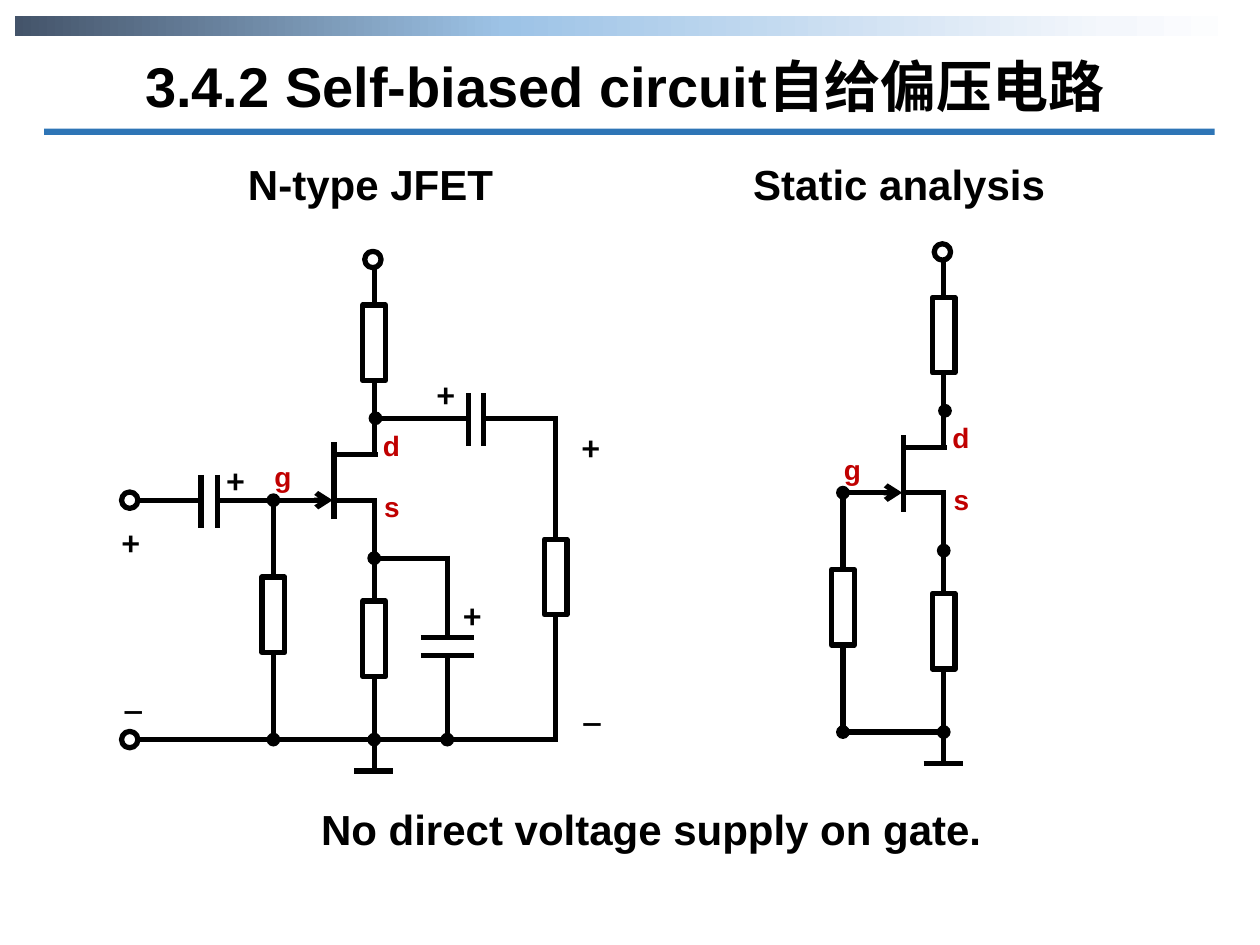
from lxml.etree import SubElement
from pptx import Presentation
from pptx.dml.color import RGBColor
from pptx.enum.shapes import MSO_CONNECTOR, MSO_SHAPE
from pptx.enum.text import MSO_AUTO_SIZE, PP_ALIGN
from pptx.oxml.ns import qn
from pptx.util import Inches, Pt

COLORS = {"ink": "000000", "pin": "C00000", "rule": "2E75B6"}
BANNER_STOPS = [(0, "44546A"), (40, "9DC3E6"), (89, "F4F7FC"), (100, "FFFFFF")]
TOP, BOTTOM = 0, 2
RESISTOR_WIDTH, RESISTOR_HEIGHT = 0.18, 0.6
GROUND_Y = 5.87


class CircuitSlide:
    """Holds the line style, the slide, and the origin of the circuit being drawn."""

    line_width = Pt(3)

    def __init__(self, slide):
        self.slide = slide
        self.shapes = slide.shapes
        self.origin = (0, 0)

    def start_circuit(self, dx=0, dy=0):
        """Send what follows to a new group, shifted by dx and dy."""
        self.shapes = self.slide.shapes.add_group_shape().shapes
        self.origin = (dx, dy)

    def end_circuit(self):
        self.shapes = self.slide.shapes
        self.origin = (0, 0)

    def place(self, x, y):
        return Inches(x + self.origin[0]), Inches(y + self.origin[1])

    def shape(self, kind, left, top, width, height, fill=None, outlined=False):
        shape = self.shapes.add_shape(
            kind, *self.place(left, top), Inches(width), Inches(height))
        shape.shadow.inherit = False
        if fill:
            shape.fill.solid()
            shape.fill.fore_color.rgb = RGBColor.from_string(COLORS[fill])
        else:
            shape.fill.background()
        if outlined:
            shape.line.color.rgb = RGBColor.from_string(COLORS["ink"])
            shape.line.width = self.line_width
        else:
            shape.line.fill.background()
        return shape

    def banner(self, left, top, width, height):
        shape = self.shape(MSO_SHAPE.RECTANGLE, left, top, width, height)
        shape.fill.gradient()
        shape.fill.gradient_angle = 0
        stops = shape._element.spPr.find(qn("a:gradFill")).find(qn("a:gsLst"))
        stops.clear()
        for percent, color in BANNER_STOPS:
            stop = SubElement(stops, qn("a:gs"), pos=str(percent * 1000))
            SubElement(stop, qn("a:srgbClr"), val=color)

    def text(self, left, top, width, height, runs, size, color="ink",
             align=PP_ALIGN.JUSTIFY, font="Arial", tight=False):
        """Write (wording, East Asian font or None) runs; tight drops insets and wrapping."""
        box = self.shapes.add_textbox(
            *self.place(left, top), Inches(width), Inches(height))
        frame = box.text_frame
        frame.word_wrap = not tight
        frame.auto_size = MSO_AUTO_SIZE.SHAPE_TO_FIT_TEXT
        if tight:
            frame.margin_left = frame.margin_right = 0
            frame.margin_top = frame.margin_bottom = 0
        paragraph = frame.paragraphs[0]
        paragraph.alignment = align
        for wording, asian_font in runs:
            run = paragraph.add_run()
            run.text = wording
            run.font.name = font
            run.font.size = Pt(size)
            run.font.bold = True
            run.font.color.rgb = RGBColor.from_string(COLORS[color])
            if asian_font:
                SubElement(run._r.get_or_add_rPr(), qn("a:ea"), typeface=asian_font)

    def heading(self, left, top, width, wording):
        self.text(left, top, width, 0.5, [(wording, None)], 24)

    def sign(self, left, top, symbol):
        self.text(left, top, 0.14, 0.34, [(symbol, None)], 20, font="Calibri", tight=True)

    def pin(self, left, top, name):
        self.text(left, top, 0.36, 0.37, [(name, None)], 16, color="pin")

    def wire(self, start, end, arrow=False):
        connector = self.shapes.add_connector(
            MSO_CONNECTOR.STRAIGHT, *self.place(*start), *self.place(*end))
        connector.line.color.rgb = RGBColor.from_string(COLORS["ink"])
        connector.line.width = self.line_width
        if arrow:
            SubElement(connector.line._get_or_add_ln(), qn("a:tailEnd"), type="arrow")
        SubElement(connector._element.spPr, qn("a:effectLst"))
        return connector

    def resistor(self, x, top, wire_start, wire_end):
        """Draw an upright resistor centred on x, with leads from wire_start to wire_end."""
        body = self.shape(MSO_SHAPE.RECTANGLE, x - RESISTOR_WIDTH / 2, top,
                          RESISTOR_WIDTH, RESISTOR_HEIGHT, outlined=True)
        self.wire((x, wire_start), (x, top)).end_connect(body, TOP)
        self.wire((x, top + RESISTOR_HEIGHT), (x, wire_end)).begin_connect(body, BOTTOM)

    def capacitor(self, x, y, gap, upright=True):
        """Draw two plates around a centre; upright plates stand side by side."""
        half = 0.21
        for shift in (-gap / 2, gap / 2):
            if upright:
                self.wire((x + shift, y - half), (x + shift, y + half))
            else:
                self.wire((x - half, y + shift), (x + half, y + shift))

    def circle(self, x, y, diameter, **style):
        self.shape(MSO_SHAPE.OVAL, x - diameter / 2, y - diameter / 2,
                   diameter, diameter, **style)

    def terminal(self, x, y):
        self.circle(x, y, 0.13, outlined=True)

    def node(self, x, y):
        self.circle(x, y, 0.11, fill="ink")

    def transistor_stage(self, gate_start, ground_start, ground_end):
        """Draw the part both circuits share: transistor, its three resistors and ground."""
        self.resistor(2.97, 2.42, 2.12, 3.62)
        self.resistor(2.17, 4.58, 3.97, 5.88)
        self.resistor(2.97, 4.77, 3.96, 6.12)
        self.wire((2.65, 4.12), (2.65, 3.51))
        self.wire((2.66, 3.61), (3, 3.61))
        self.wire((2.65, 3.97), (2.99, 3.97))
        self.wire((gate_start, 3.97), (2.64, 3.97), arrow=True)
        self.wire((ground_start, GROUND_Y), (ground_end, GROUND_Y))
        self.wire((2.81, 6.12), (3.12, 6.12))
        self.terminal(2.96, 2.06)
        for name, left, top in [("g", 2.08, 3.6), ("s", 2.95, 3.84), ("d", 2.94, 3.35)]:
            self.pin(left, top, name)
        for x, y in [(2.97, GROUND_Y), (2.17, GROUND_Y), (2.97, 4.43),
                     (2.98, 3.32), (2.17, 3.97)]:
            self.node(x, y)

    def amplifier(self):
        self.transistor_stage(gate_start=1.72, ground_start=1.09, ground_end=4.42)
        # Input
        self.terminal(1.03, 3.97)
        self.terminal(1.03, GROUND_Y)
        self.wire((1.58, 3.97), (1.11, 3.97))
        self.capacitor(1.66, 3.98, 0.13)
        # Source bypass
        self.wire((2.95, 4.43), (3.57, 4.43))
        self.wire((3.55, 4.41), (3.55, 5.06))
        self.capacitor(3.55, 5.13, 0.14, upright=False)
        self.wire((3.55, 5.21), (3.55, 5.88))
        self.node(3.55, GROUND_Y)
        # Output
        self.wire((3.72, 3.32), (2.98, 3.32))
        self.capacitor(3.78, 3.33, 0.12)
        self.wire((4.42, 3.32), (3.86, 3.32))
        self.resistor(4.41, 4.28, 3.3, 5.89)
        for left, top, symbol in [(0.97, 4.13, "+"), (0.99, 5.35, "_"), (1.8, 3.64, "+"),
                                  (3.68, 4.71, "+"), (3.47, 2.96, "+"),
                                  (4.62, 3.38, "+"), (4.63, 5.45, "_")]:
            self.sign(left, top, symbol)


def main():
    presentation = Presentation()
    presentation.slide_width, presentation.slide_height = Inches(10), Inches(7.5)
    page = CircuitSlide(presentation.slides.add_slide(presentation.slide_layouts[6]))

    page.banner(0.12, 0.13, 9.76, 0.16)
    page.text(0.67, 0.36, 8.58, 0.64,
              [("3.4.2 Self-biased circuit", None), ("自给偏压电路", "Noto Sans CJK SC")],
              32, align=PP_ALIGN.CENTER)
    page.shape(MSO_SHAPE.RECTANGLE, 0.35, 1.02, 9.29, 0.05, fill="rule")

    page.heading(1.87, 1.21, 2.24, "N-type JFET")
    page.start_circuit()
    page.amplifier()
    page.end_circuit()

    page.heading(5.88, 1.21, 2.63, "Static analysis")
    page.start_circuit(dx=4.52, dy=-0.06)
    page.transistor_stage(gate_start=2.17, ground_start=2.17, ground_end=2.98)
    page.end_circuit()

    page.heading(2.45, 6.33, 5.56, "No direct voltage supply on gate.")
    presentation.save("out.pptx")


if __name__ == "__main__":
    main()
